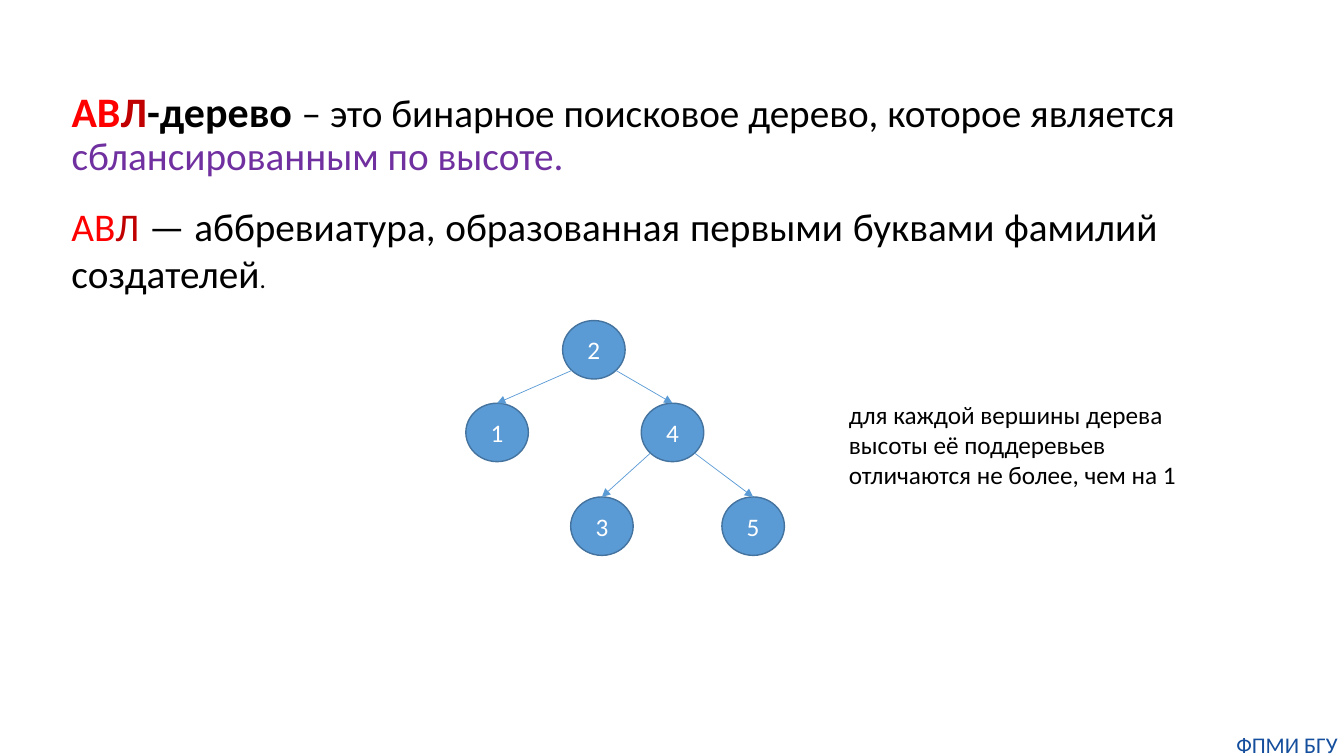
from lxml import etree
from pptx import Presentation
from pptx.dml.color import RGBColor
from pptx.enum.shapes import MSO_CONNECTOR, MSO_SHAPE
from pptx.enum.text import MSO_ANCHOR, MSO_AUTO_SIZE, PP_ALIGN
from pptx.oxml.ns import qn
from pptx.util import Inches, Pt

RED = RGBColor(0xFF, 0x00, 0x00)
DARK_RED = RGBColor(0xC0, 0x00, 0x00)
PURPLE = RGBColor(0x70, 0x30, 0xA0)
BLACK = RGBColor(0x00, 0x00, 0x00)
WHITE = RGBColor(0xFF, 0xFF, 0xFF)
NODE_BLUE = RGBColor(0x5B, 0x9B, 0xD5)
NODE_EDGE = RGBColor(0x43, 0x73, 0x9E)
FOOTER_BLUE = RGBColor(0x14, 0x4E, 0x9D)
ELLIPSE = MSO_SHAPE.OVAL
STRAIGHT = MSO_CONNECTOR.STRAIGHT
CENTER = PP_ALIGN.CENTER
JUSTIFY = PP_ALIGN.JUSTIFY
MIDDLE = MSO_ANCHOR.MIDDLE
NO_FIT = MSO_AUTO_SIZE.NONE

NODE_W, NODE_H = 0.62, 0.58
DIAGONAL = 0.354


def add_text(paragraph, text, size=18, color=BLACK, bold=False, align=None):
    if align is not None:
        paragraph.alignment = align
    run = paragraph.add_run()
    run.text = text
    run.font.name = "Calibri"
    run.font.size = Pt(size)
    run.font.bold = bold
    run.font.color.rgb = color


prs = Presentation()
prs.slide_width = Inches(13.33)
prs.slide_height = Inches(7.5)
slide = prs.slides.add_slide(prs.slide_layouts[1])
shapes = slide.shapes
title = shapes.title
title.element.getparent().remove(title.element)

definition = slide.placeholders[1]
definition.left, definition.top = Inches(0.61), Inches(0.86)
definition.width, definition.height = Inches(11.49), Inches(1.06)
definition.text_frame.auto_size = NO_FIT
statement = definition.text_frame.paragraphs[0]
statement.line_spacing = 0.9
statement.space_before = Pt(0)
properties = statement._p.get_or_add_pPr()
properties.set("marL", "0")
properties.set("indent", "0")
etree.SubElement(properties, qn("a:buNone"))
for text, size, color, bold in (
    ("АВ", 30, RED, True),
    ("Л", 30, DARK_RED, True),
    ("-дерево ", 30, BLACK, True),
    ("– это бинарное поисковое дерево, которое является ", 28, BLACK, False),
    ("сблансированным по высоте.", 28, PURPLE, False),
):
    add_text(statement, text, size=size, color=color, bold=bold)

nodes = {"2": (5.58, 3.18), "4": (6.36, 4), "1": (4.62, 4), "3": (5.66, 4.93), "5": (7.16, 4.93)}
for key, (left, top) in nodes.items():
    node = shapes.add_shape(ELLIPSE, Inches(left), Inches(top), Inches(NODE_W), Inches(NODE_H))
    node.shadow.inherit = False
    node.fill.solid()
    node.fill.fore_color.rgb = NODE_BLUE
    node.line.color.rgb = NODE_EDGE
    node.line.width = Pt(1)
    node.text_frame.vertical_anchor = MIDDLE
    add_text(node.text_frame.paragraphs[0], key, color=WHITE, align=CENTER)

for parent, child in ("21", "24", "43", "45"):
    parent_left, parent_top = nodes[parent]
    child_left, child_top = nodes[child]
    side = 1 if child_left > parent_left else -1
    branch = shapes.add_connector(
        STRAIGHT,
        Inches(parent_left + NODE_W * (0.5 + side * DIAGONAL)),
        Inches(parent_top + NODE_H * (0.5 + DIAGONAL)),
        Inches(child_left + NODE_W / 2),
        Inches(child_top),
    )
    branch.line.color.rgb = NODE_BLUE
    branch.line.width = Pt(0.5)
    etree.SubElement(branch.line._get_or_add_ln(), qn("a:tailEnd"), type="triangle")
    etree.SubElement(branch._element.spPr, qn("a:effectLst"))

balance_rule = shapes.add_textbox(Inches(8.32), Inches(3.91), Inches(3.63), Inches(1.01)).text_frame
balance_rule.word_wrap = True
add_text(
    balance_rule.paragraphs[0],
    "для каждой вершины дерева высоты её поддеревьев отличаются не более, чем на 1",
)

footer = shapes.add_textbox(Inches(12.2), Inches(7.25), Inches(1.13), Inches(0.27)).text_frame
footer.word_wrap = True
footer.margin_left = footer.margin_right = footer.margin_top = footer.margin_bottom = 0
add_text(footer.paragraphs[0], "ФПМИ БГУ", size=16, color=FOOTER_BLUE, align=CENTER)

origin = shapes.add_textbox(Inches(0.61), Inches(1.96), Inches(10.97), Inches(1.04)).text_frame
origin.word_wrap = True
for text, size, color in (
    ("АВ", 28, RED),
    ("Л", 28, DARK_RED),
    (" — аббревиатура, образованная первыми буквами фамилий создателей", 28, BLACK),
    (".", 18, BLACK),
):
    add_text(origin.paragraphs[0], text, size=size, color=color, align=JUSTIFY)

prs.save("out.pptx")
